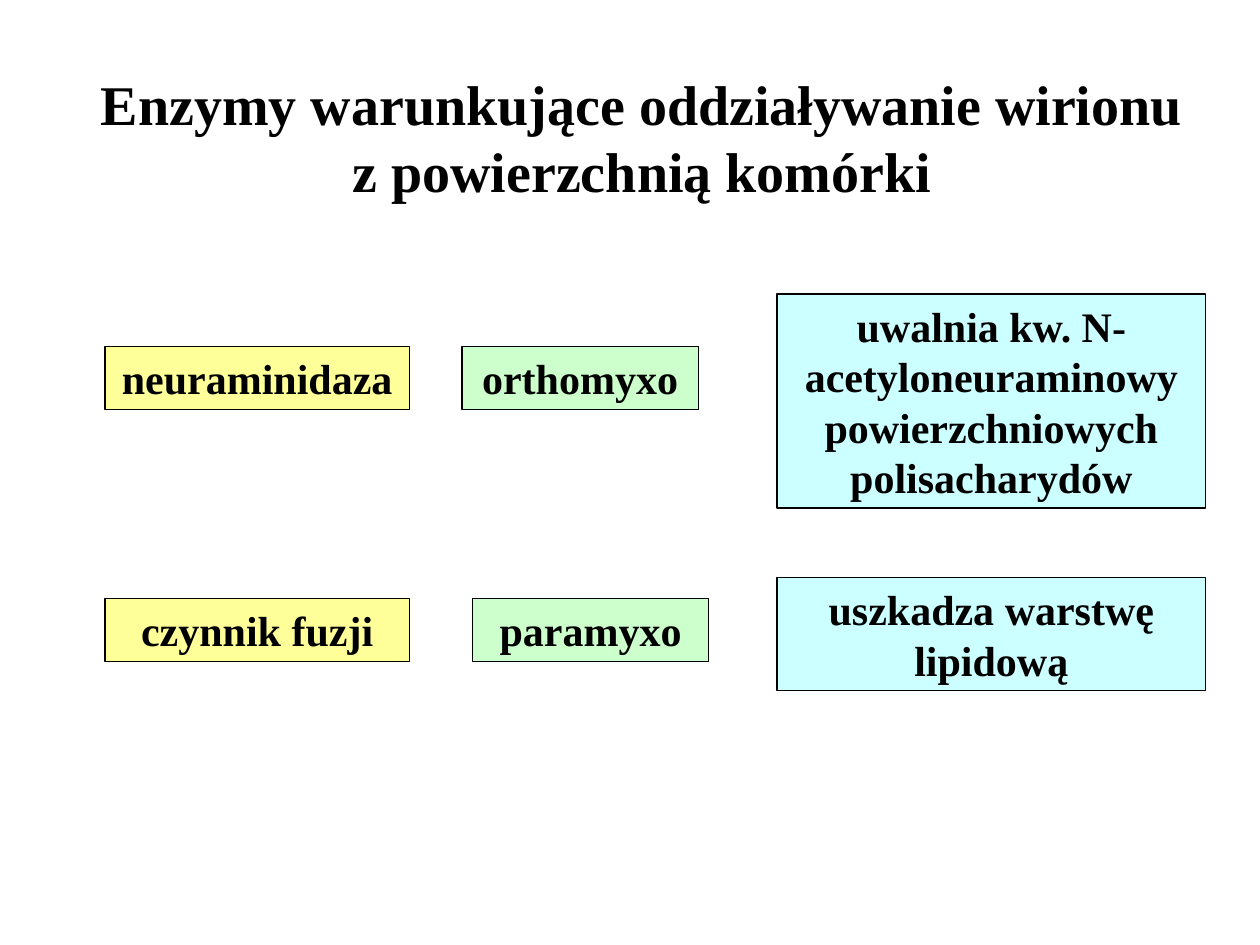
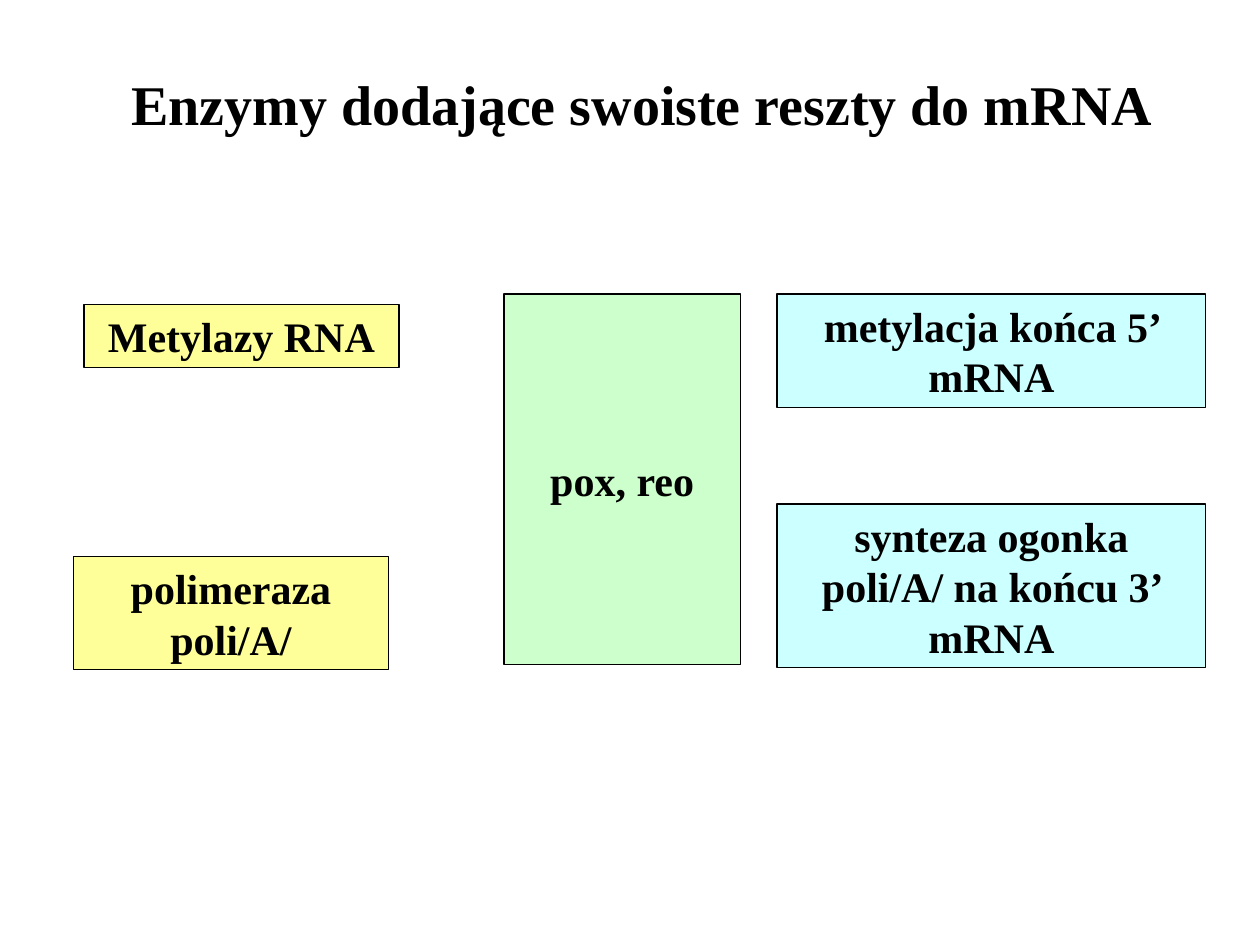
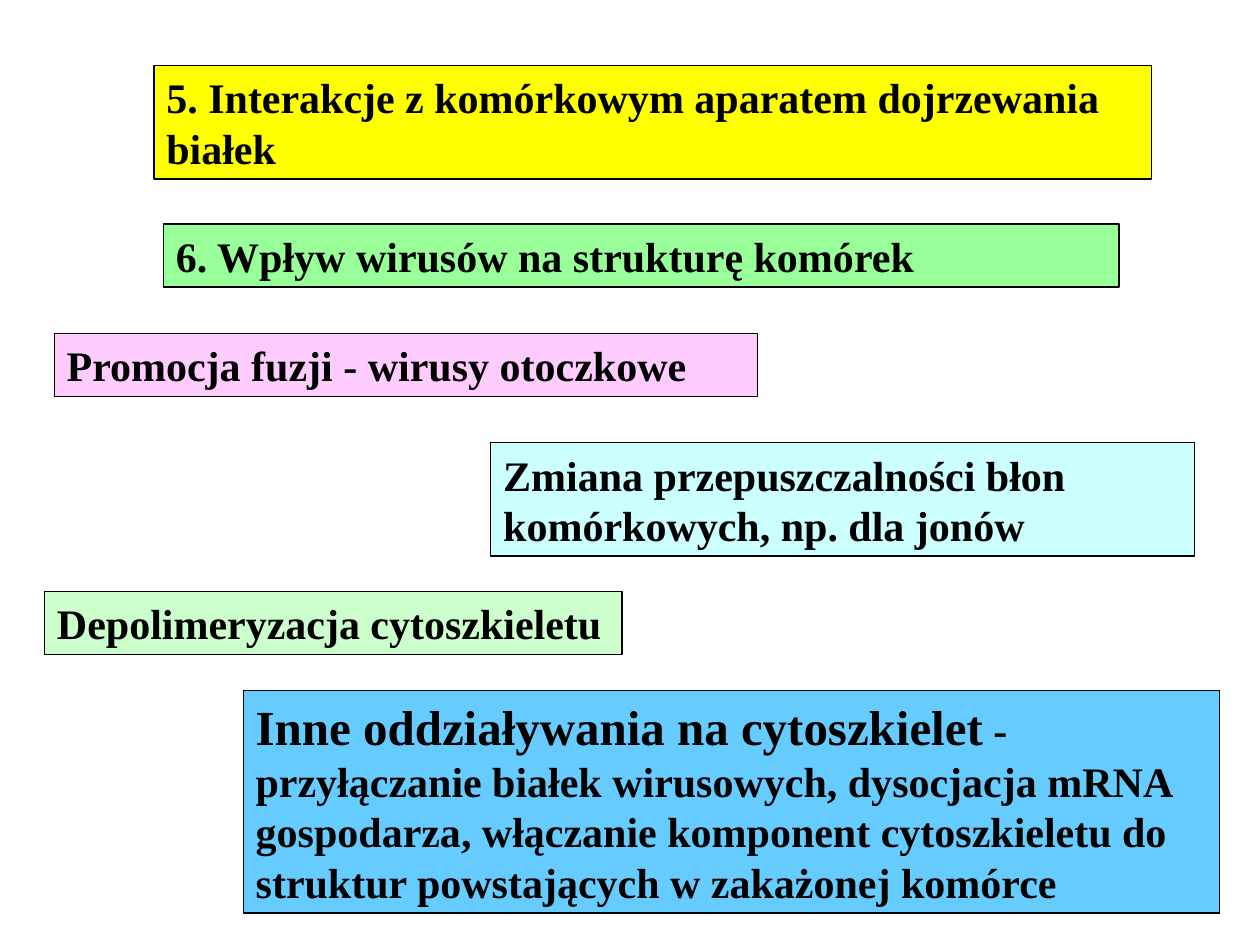
from pptx import Presentation
from pptx.dml.color import RGBColor
from pptx.enum.shapes import MSO_SHAPE
from pptx.enum.text import MSO_ANCHOR, PP_ALIGN
from pptx.util import Pt

BLACK = RGBColor(0x00, 0x00, 0x00)
CREAM = RGBColor(0xFF, 0xFF, 0x99)
MINT = RGBColor(0xCC, 0xFF, 0xCC)
ICE = RGBColor(0xCC, 0xFF, 0xFF)
YELLOW = RGBColor(0xFF, 0xFF, 0x00)
GREEN = RGBColor(0x99, 0xFF, 0x99)
PINK = RGBColor(0xFF, 0xCC, 0xFF)
BLUE = RGBColor(0x66, 0xCC, 0xFF)

FONT = "Times New Roman"
BODY, LEAD, HEAD = 24, 28, 32
VIRUS_W = 135
EFFECT_X, EFFECT_W = 444, 245

# Each table: title, title lines, then enzymes, viruses and effects.
# Each box: left, top, width, lines of text, text.
TABLES = [
    {
        "title": ("Enzymy warunkujące oddziaływanie wirionu z powierzchnią komórki", 2),
        "enzymes": [
            (60, 198, 174, 1, "neuraminidaza"),
            (60, 342, 174, 1, "czynnik fuzji"),
        ],
        "viruses": [
            (264, 198, VIRUS_W, 1, "orthomyxo"),
            (270, 342, VIRUS_W, 1, "paramyxo"),
        ],
        "effects": [
            (EFFECT_X, 168, EFFECT_W, 4,
             "uwalnia kw. N-acetyloneuraminowy powierzchniowych polisacharydów"),
            (EFFECT_X, 330, EFFECT_W, 2, "uszkadza warstwę lipidową"),
        ],
    },
    {
        "title": ("Enzymy dodające swoiste reszty do mRNA", 1),
        "enzymes": [
            (48, 174, 180, 1, "Metylazy RNA"),
            (42, 318, 180, 2, "polimeraza poli/A/"),
        ],
        "viruses": [(288, 168, VIRUS_W, 7.1, "pox, reo")],
        "effects": [
            (EFFECT_X, 168, EFFECT_W, 2, "metylacja końca 5’ mRNA"),
            (EFFECT_X, 288, EFFECT_W, 3, "synteza ogonka poli/A/ na końcu 3’ mRNA"),
        ],
    },
]
FILLS = {"enzymes": CREAM, "viruses": MINT, "effects": ICE}

# Fill, left, top, width, size of each line, runs with their sizes.
POINTS = [
    (YELLOW, 88, 37.5, 570, [BODY] * 2,
     [("5. Interakcje z komórkowym aparatem dojrzewania białek", BODY)]),
    (GREEN, 93.5, 128, 546, [BODY],
     [("6. Wpływ wirusów na strukturę komórek", BODY)]),
    (PINK, 31, 190.5, 402, [BODY],
     [("Promocja fuzji - wirusy otoczkowe", BODY)]),
    (ICE, 280.5, 253, 402, [BODY] * 2,
     [("Zmiana przepuszczalności błon komórkowych, np. dla jonów", BODY)]),
    (MINT, 25.5, 338, 330, [BODY],
     [("Depolimeryzacja cytoszkieletu", BODY)]),
    (BLUE, 139, 394.5, 558, [LEAD] + [BODY] * 3,
     [("Inne oddziaływania na cytoszkielet", LEAD),
      (" - przyłączanie białek wirusowych, dysocjacja mRNA gospodarza, "
       "włączanie komponent cytoszkieletu do struktur powstających "
       "w zakażonej komórce", BODY)]),
]


def height(total):
    """Box height for lines whose font sizes add up to total."""
    return 7.2 + 1.2 * total


def write(shape, runs, align):
    frame = shape.text_frame
    frame.word_wrap = True
    para = frame.paragraphs[0]
    para.alignment = align
    for text, size in runs:
        run = para.add_run()
        run.text = text
        font = run.font
        font.name, font.size, font.bold = FONT, Pt(size), True
        font.color.rgb = BLACK


def add_box(slide, fill, area, runs, align):
    box = slide.shapes.add_shape(MSO_SHAPE.RECTANGLE, *map(Pt, area))
    box.shadow.inherit = False
    box.fill.solid()
    box.fill.fore_color.rgb = fill
    box.line.color.rgb = BLACK
    box.line.width = Pt(0.75)
    box.text_frame.vertical_anchor = MSO_ANCHOR.MIDDLE
    write(box, runs, align)


def add_title(slide, text, lines):
    area = 48, 36, 638, height(lines * HEAD)
    title = slide.shapes.add_textbox(*map(Pt, area))
    write(title, [(text, HEAD)], PP_ALIGN.CENTER)


def main():
    deck = Presentation()
    deck.slide_width, deck.slide_height = Pt(720), Pt(540)
    blank = deck.slide_layouts[6]

    for table in TABLES:
        slide = deck.slides.add_slide(blank)
        add_title(slide, *table["title"])
        for kind, fill in FILLS.items():
            for left, top, width, lines, text in table[kind]:
                area = left, top, width, height(lines * BODY)
                add_box(slide, fill, area, [(text, BODY)], PP_ALIGN.CENTER)

    slide = deck.slides.add_slide(blank)
    for fill, left, top, width, sizes, runs in POINTS:
        area = left, top, width, height(sum(sizes))
        add_box(slide, fill, area, runs, PP_ALIGN.LEFT)

    deck.save("out.pptx")


if __name__ == "__main__":
    main()
